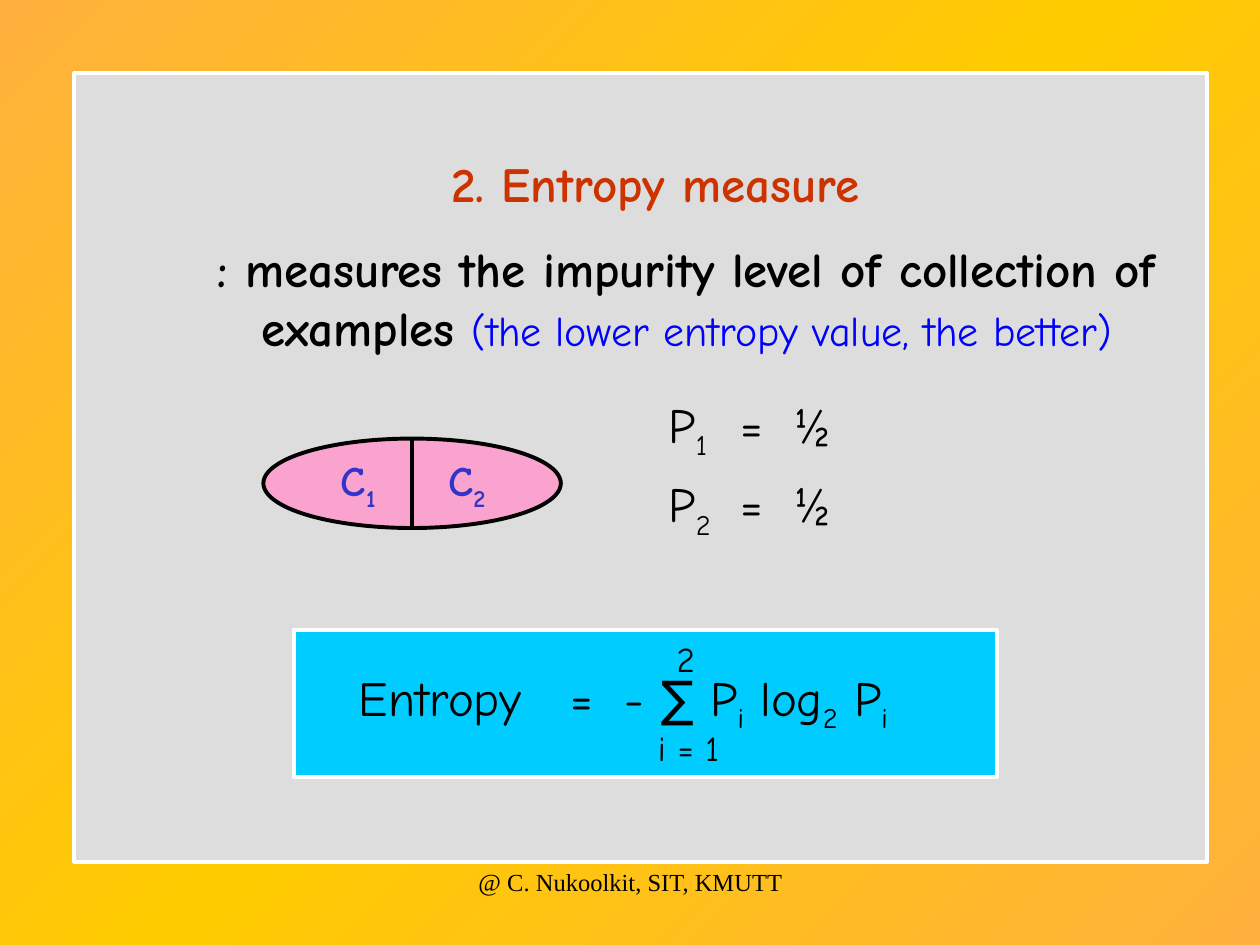
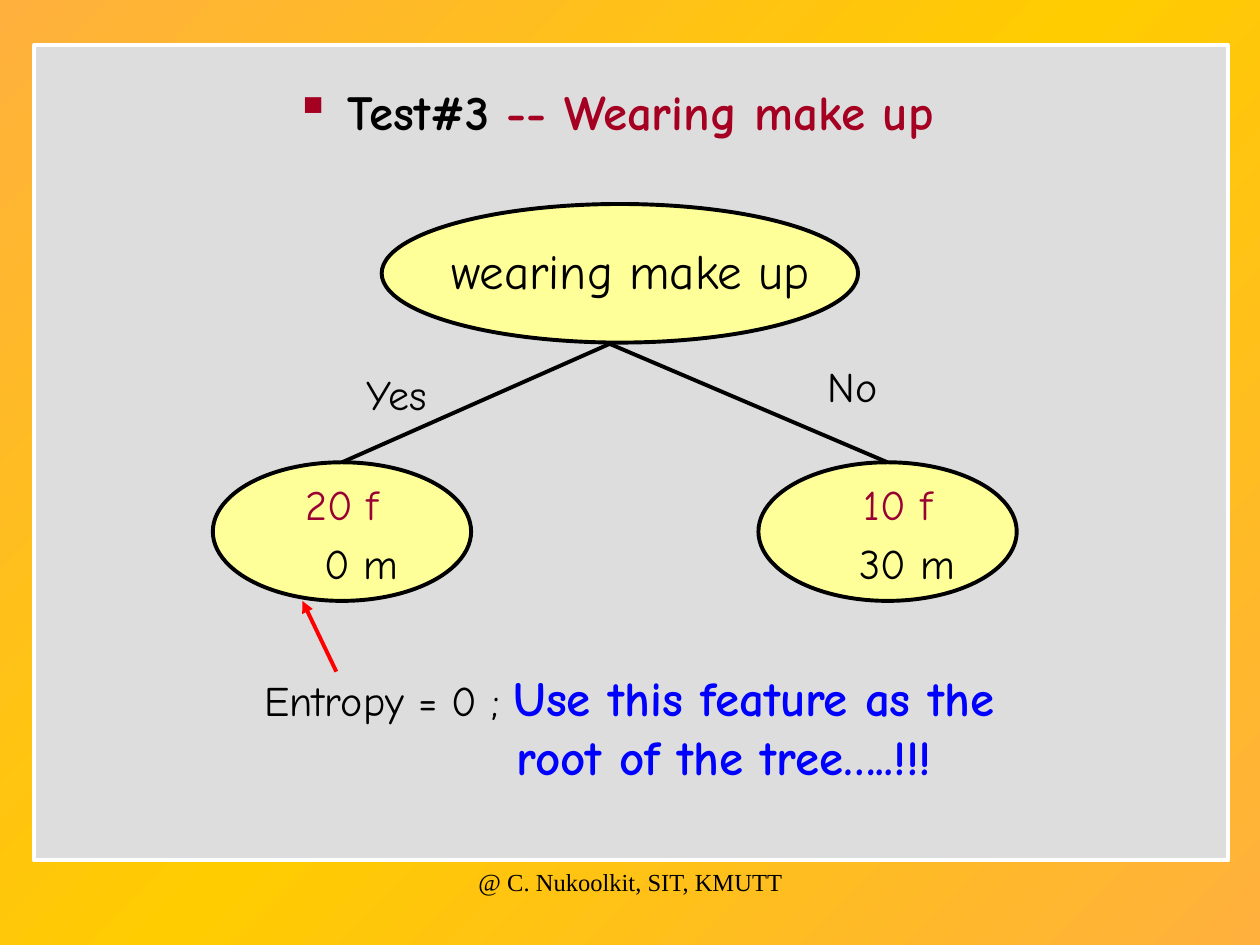
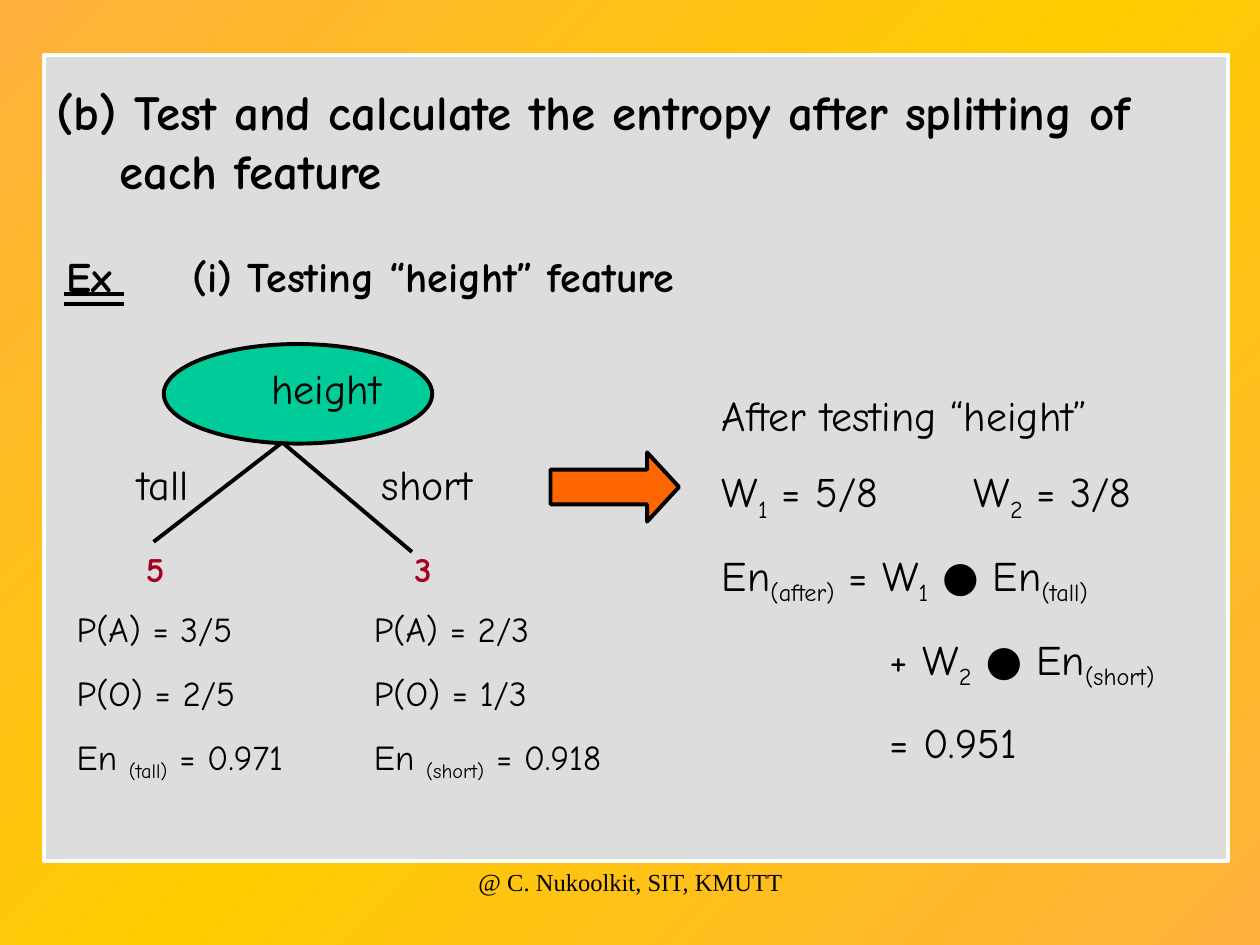
from copy import deepcopy
from dataclasses import dataclass, replace

from lxml import etree
from pptx import Presentation
from pptx.dml.color import RGBColor
from pptx.enum import shapes, text
from pptx.oxml import ns
from pptx import util as u


@dataclass(frozen=True)
class Style:
    size: int
    color: str = "000000"
    bold: bool = False
    font: str = "Comic Neue"


class Theme:
    # Colours
    edge, middle = "FFB03D", "FFCC00"
    panel, white, black = "DDDDDD", "FFFFFF", "000000"
    pink, cyan, yellow = "FF99CC", "00CCFF", "FFFF99"
    green, orange, red = "00CC99", "FF6600", "FF0000"
    crimson = "A50021"
    # Type sizes
    large, medium, small = Style(28), Style(24), Style(20)
    heading = replace(large, bold=True)
    subheading = replace(medium, bold=True)
    footer = Style(14, font="Times New Roman")
    stroke = 2.25


@dataclass(frozen=True)
class Box:
    left: float
    top: float
    width: float
    height: float = 36

    def inner(self, left, top, width, height=36):
        return Box(self.left + left, self.top + top, width, height)

    def point(self, x, y):
        return self.left + x, self.top + y

    def lengths(self):
        return [u.Pt(n) for n in (self.left, self.top, self.width, self.height)]


@dataclass(frozen=True)
class Line:
    """A paragraph: (wording, style) runs, with |subscripts| between bars."""
    runs: list
    centred: bool = False
    margin: float = 0
    hang: float = 0
    before: float = 0
    tabs: tuple = ()
    bullet: str = ""
    bullet_color: str = Theme.black


def rgb(color):
    return RGBColor.from_string(color)


def add_xml(parent, tag, **attributes):
    return etree.SubElement(parent, ns.qn(tag), attributes)


# ---- Basic parts ----

def add_run(paragraph, wording, style, subscript=False):
    run = paragraph.add_run()
    run.text = wording
    font = run.font
    font.name, font.size, font.bold = style.font, u.Pt(style.size), style.bold
    font.color.rgb = rgb(style.color)
    if subscript:
        run._r.get_or_add_rPr().set("baseline", "-25000")


def format_paragraph(paragraph, line):
    properties = paragraph._p.get_or_add_pPr()
    if line.margin or line.hang:
        properties.set("marL", str(u.Pt(line.margin)))
        properties.set("indent", str(-u.Pt(line.hang)))
    if line.bullet:
        color = add_xml(properties, "a:buClr")
        add_xml(color, "a:srgbClr", val=line.bullet_color)
        add_xml(properties, "a:buChar", char=line.bullet)
    if line.tabs:
        stops = add_xml(properties, "a:tabLst")
        for position in line.tabs:
            add_xml(stops, "a:tab", pos=str(u.Pt(position)), algn="l")
    if line.before:
        paragraph.space_before = u.Pt(line.before)
    align = text.PP_ALIGN
    paragraph.alignment = align.CENTER if line.centred else align.LEFT


def add_text(slide, box, *lines):
    frame = slide.shapes.add_textbox(*box.lengths()).text_frame
    frame.word_wrap = True
    for index, line in enumerate(lines):
        paragraph = frame.add_paragraph() if index else frame.paragraphs[0]
        format_paragraph(paragraph, line)
        for wording, style in line.runs:
            for part, piece in enumerate(wording.split("|")):
                if piece:
                    add_run(paragraph, piece, style, subscript=part % 2 == 1)


def add_label(slide, box, wording, style=Theme.medium):
    add_text(slide, box, Line([(wording, style)], centred=True))


def add_figure(slide, kind, box, fill, outline=Theme.black):
    shape = slide.shapes.add_shape(kind, *box.lengths())
    shape.shadow.inherit = False
    shape.fill.solid()
    shape.fill.fore_color.rgb = rgb(fill)
    shape.line.color.rgb = rgb(outline)
    shape.line.width = u.Pt(Theme.stroke)
    return shape


def add_ellipse(slide, box, fill):
    return add_figure(slide, shapes.MSO_SHAPE.OVAL, box, fill)


def add_panel(slide, box, fill):
    return add_figure(slide, shapes.MSO_SHAPE.RECTANGLE, box, fill, Theme.white)


def add_line(slide, start, end, color=Theme.black, arrow=False):
    ends = [u.Pt(n) for n in (*start, *end)]
    connector = slide.shapes.add_connector(shapes.MSO_CONNECTOR.STRAIGHT, *ends)
    connector.line.color.rgb = rgb(color)
    connector.line.width = u.Pt(Theme.stroke)
    if arrow:
        add_xml(connector.line._get_or_add_ln(), "a:tailEnd", type="triangle")
    add_xml(connector._element.spPr, "a:effectLst")


def add_fork(slide, apex, *ends):
    for end in ends:
        add_line(slide, apex, end)


# ---- What the slides share ----

def paint_background(master):
    fill = master.background.fill
    fill.gradient()
    fill.gradient_angle = 135
    stops = master._element.find(".//" + ns.qn("a:gsLst"))
    stops.insert(1, deepcopy(stops[0]))
    colors = (Theme.edge, Theme.middle, Theme.edge)
    for stop, position, color in zip(fill.gradient_stops, (0, 0.5, 1), colors):
        stop.position = position
        stop.color.rgb = rgb(color)


def start_slide(presentation, panel):
    slide = presentation.slides.add_slide(presentation.slide_layouts[6])
    add_panel(slide, panel, Theme.panel)
    add_label(slide, Box(246.2, 491.8, 228.2), "@ C. Nukoolkit, SIT, KMUTT", Theme.footer)
    return slide


# ---- Entropy measure ----

def definition(slide, box):
    title = replace(Theme.heading, color="CC3300")
    remark = replace(Theme.medium, color="0000FF")
    hanging = dict(centred=True, margin=36, hang=36)
    add_text(
        slide, box,
        Line([("2. Entropy measure", title)], **hanging),
        Line([("\t", title),
              (": measures the impurity level of collection of examples ", Theme.heading),
              ("(the lower entropy value, the better)", remark)],
             before=15, tabs=tuple(range(0, 505, 72)), **hanging))


def collection(slide, box):
    ellipse = add_ellipse(slide, box, Theme.pink)
    color = ellipse._element.spPr.find(ns.qn("a:solidFill"))[0]
    add_xml(color, "a:alpha", val="84000")
    middle = box.width / 2
    add_line(slide, box.point(middle, 0), box.point(middle, box.height))
    style = replace(Theme.subheading, color="3333CC")
    for number, left in enumerate((28.8, 90.7), 1):
        add_label(slide, box.inner(left, 5.8, 51), f"C|{number}|", style)


def probabilities(slide, box):
    for row in range(2):
        add_text(slide, box.inner(0, row * box.height / 2, box.width),
                 Line([(f"P|{row + 1}|\t=\t½", Theme.large)], tabs=(41, 72)))


def entropy_formula(slide, box):
    add_panel(slide, box, Theme.cyan)
    add_text(slide, box.inner(30.2, 18, 391),
             Line([("Entropy\t=\t- ∑ P|i| log|2| P|i|", Theme.large)], tabs=(121, 152)))
    add_label(slide, box.inner(211.7, 0.7, 23), "2", Theme.small)
    add_label(slide, box.inner(194.4, 51.8, 62.6), "i = 1", Theme.small)


def entropy_slide(presentation, panel):
    slide = start_slide(presentation, panel)
    definition(slide, panel.inner(11.5, 42.5, 640.8, 123))
    collection(slide, panel.inner(108, 208.8, 170, 51.1))
    probabilities(slide, panel.inner(332.5, 180, 125, 90.8))
    entropy_formula(slide, panel.inner(125.3, 318.2, 401.8, 84.2))


# ---- Make-up test ----

def test_title(slide, box):
    crimson = replace(Theme.large, color=Theme.crimson)
    add_text(slide, box, Line(
        [(" ", crimson), ("Test#3", Theme.heading),
         (" -- Wearing make up", replace(crimson, bold=True))],
        centred=True, bullet="▪", bullet_color=Theme.crimson))


def leaf(slide, box, female, male, female_left):
    add_ellipse(slide, box, Theme.yellow)
    add_label(slide, box.inner(female_left, 5.8, 68.4), female,
              replace(Theme.medium, color="990033"))
    add_label(slide, box.inner(39.6, 39.6, 90.7), male)


def make_up_tree(slide, box):
    add_ellipse(slide, box.inner(96.5, 0, 272.2, 79.2), Theme.yellow)
    add_label(slide, box.inner(119.5, 17.3, 238.3), "wearing make up", Theme.large)
    leaf_top, leaf_width, leaf_height = 147.6, 147.6, 79.2
    right = box.width - leaf_width
    leaf(slide, box.inner(0, leaf_top, leaf_width, leaf_height), "20 f", "0 m", 39.6)
    leaf(slide, box.inner(right, leaf_top, leaf_width, leaf_height), "10 f", "30 m", 45.4)
    add_fork(slide, box.point(226.8, 79.9),
             *(box.point(left + leaf_width / 2, leaf_top) for left in (0, right)))
    add_label(slide, box.inner(68.4, 90.7, 73.4), "Yes")
    add_label(slide, box.inner(329, 85.7, 73.4), "No")


def conclusion(slide, box):
    advice = replace(Theme.heading, color="0000FF")
    add_text(slide, box,
             Line([("Entropy = 0 ; ", Theme.medium), ("Use this feature as the", advice)]),
             Line([("root of the tree…..!!!", advice)], margin=144))
    add_line(slide, box.point(48.2, 5.8), box.point(28.8, -34.6), Theme.red, arrow=True)


def make_up_slide(presentation, panel):
    slide = start_slide(presentation, panel)
    test_title(slide, panel.inner(0, 17.3, 663.1))
    make_up_tree(slide, panel.inner(102.2, 90.7, 459.4, 226.8))
    conclusion(slide, panel.inner(124.6, 352.1, 552.2, 74.9))


# ---- Height test ----

def height_heading(slide, box):
    add_text(slide, box, Line(
        [("(b) Test and calculate the entropy after splitting of each feature",
          Theme.heading)], margin=36, hang=36))
    add_text(slide, box.inner(5.8, 96.5, 623.5),
             Line([("Ex\t(i) Testing “height” feature", Theme.subheading)], tabs=(72,)))
    # Double underline below "Ex"
    for y in (124.6, 130.3):
        add_line(slide, box.point(11.5, y), box.point(45.4, y))


def branch_figures(slide, box, branch, a_share, o_share, entropy):
    wordings = (f"P(A) = {a_share}", f"P(O) = {o_share}", f"En |({branch})| = {entropy}")
    add_text(slide, box, *(Line([(wording, Theme.small)], before=12.5 if row else 0)
                           for row, wording in enumerate(wordings)))


def height_tree(slide, box):
    add_ellipse(slide, box.inner(56.9, 0, 153.4, 56.9), Theme.green)
    add_label(slide, box.inner(101.5, 7.2, 96.5), "height")
    add_fork(slide, box.point(124.6, 56.2), box.point(51.1, 113), box.point(198.7, 118.8))
    add_label(slide, box.inner(28.1, 61.9, 56.9), "tall")
    add_label(slide, box.inner(159.1, 61.9, 96.5), "short")
    count = replace(Theme.small, color=Theme.crimson, bold=True)
    add_label(slide, box.inner(39.6, 113, 23), "5", count)
    add_label(slide, box.inner(193, 113, 23), "3", count)
    branch_figures(slide, box.inner(0, 146.9, 150.5, 108),
                   "tall", "3/5", "2/5", "0.971")
    branch_figures(slide, box.inner(169.9, 146.9, 175.7, 108),
                   "short", "2/3", "1/3", "0.918")


def leads_to(slide, box):
    arrow = add_figure(slide, shapes.MSO_SHAPE.RIGHT_ARROW, box, Theme.orange)
    arrow.adjustments[0], arrow.adjustments[1] = 0.5, 0.46


def height_result(slide, box):
    rows = (("After testing “height”", 0),
            ("W|1| = 5/8\tW|2| = 3/8", 0),
            ("En|(after)| = W|1| ● En|(tall)|", 0),
            ("+ W|2| ● En|(short)|", 96),
            ("= 0.951", 96))
    add_text(slide, box, *(
        Line([(wording, Theme.medium)], margin=margin, before=15 if row else 0,
             tabs=(144,) if "\t" in wording else ())
        for row, (wording, margin) in enumerate(rows)))


def height_slide(presentation, panel):
    slide = start_slide(presentation, panel)
    height_heading(slide, panel.inner(0, 11.5, 663.1, 74.9))
    height_tree(slide, panel.inner(11.5, 164.9, 345.6, 254.9))
    leads_to(slide, panel.inner(289.4, 226.8, 73.4, 39.6))
    height_result(slide, panel.inner(380.2, 187.2, 314.6, 223.2))


def main():
    presentation = Presentation()
    presentation.slide_width, presentation.slide_height = u.Pt(720), u.Pt(540)
    paint_background(presentation.slide_master)
    entropy_slide(presentation, Box(42.5, 41.8, 647.3, 450.7))
    make_up_slide(presentation, Box(19.4, 25.9, 682.6, 465.8))
    height_slide(presentation, Box(25.2, 31.7, 676.8, 460.1))
    presentation.save("out.pptx")


if __name__ == "__main__":
    main()
